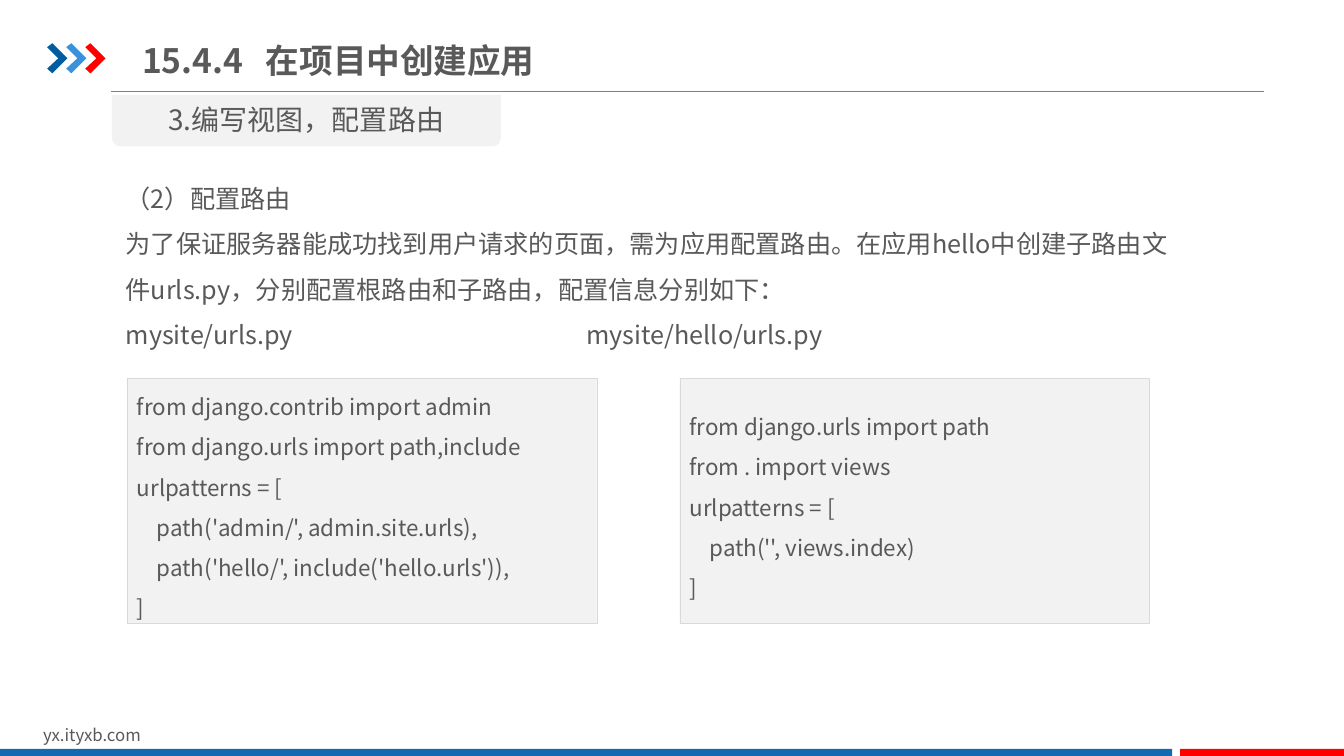
import pptx
import pptx.dml.color
import pptx.enum.shapes
import pptx.enum.text
import pptx.oxml
import pptx.oxml.ns
import pptx.util
from dataclasses import dataclass

Cm = pptx.util.Cm
Shapes = pptx.enum.shapes.MSO_SHAPE
Anchor = pptx.enum.text.MSO_ANCHOR
Align = pptx.enum.text.PP_ALIGN


@dataclass(frozen=True)
class Theme:
    font: str = "Noto Sans CJK SC"
    text: str = "595959"
    panel: str = "F2F2F2"
    border: str = "D9D9D9"
    rule: str = "808080"
    bar: str = "1369B2"
    red: str = "FF0000"
    chevrons: tuple = ("005DA2", "3992DB", "FF0000")
    title_size: int = 24
    heading_size: int = 20
    body_size: int = 18
    code_size: int = 16
    footer_size: int = 12


theme = Theme()
color = pptx.dml.color.RGBColor.from_string

deck = pptx.Presentation()
deck.slide_width, deck.slide_height = Cm(33.87), Cm(19.05)
page = deck.slides.add_slide(deck.slide_layouts[6])


def paint(shape, fill, border=None):
    shape.shadow.inherit = False
    shape.fill.solid()
    shape.fill.fore_color.rgb = color(fill)
    if border:
        shape.line.color.rgb = color(border)
        shape.line.width = pptx.util.Pt(0.25)
    else:
        shape.line.fill.background()


def write(box, lines, size, anchor=Anchor.TOP, align=Align.LEFT,
          spacing=None, bold=False, tab=None):
    frame = box.text_frame
    frame.word_wrap = True
    frame.vertical_anchor = anchor
    for number, line in enumerate(lines):
        para = frame.add_paragraph() if number else frame.paragraphs[0]
        para.alignment = align
        para.line_spacing = spacing
        if "\t" in line:
            stops = pptx.oxml.parse_xml(
                f'<a:tabLst {pptx.oxml.ns.nsdecls("a")}>'
                f'<a:tab pos="{tab}" algn="l"/></a:tabLst>')
            para._p.get_or_add_pPr().append(stops)
        span = para.add_run()
        span.text = line
        span.font.size = pptx.util.Pt(size)
        span.font.bold = bold
        span.font.color.rgb = color(theme.text)
        span.font.name = theme.font
        # East Asian characters need their own font entry
        span._r.get_or_add_rPr().append(pptx.oxml.parse_xml(
            f'<a:ea {pptx.oxml.ns.nsdecls("a")} typeface="{theme.font}"/>'))


# Rule under the title
rule = page.shapes.add_connector(
    pptx.enum.shapes.MSO_CONNECTOR.STRAIGHT, Cm(2.8), Cm(2.31), Cm(31.86), Cm(2.31))
rule.line.color.rgb = color(theme.rule)
rule.line.width = pptx.util.Pt(0.75)
rule._element.spPr.append(pptx.oxml.parse_xml(
    f'<a:effectLst {pptx.oxml.ns.nsdecls("a")}/>'))

# Three chevrons
chevron_points = [(0, 0.1), (0.13, 0), (0.51, 0.38), (0.13, 0.76), (0, 0.64), (0.28, 0.38)]
for number, fill in enumerate(theme.chevrons):
    left = 1.19 + 0.48 * number
    corners = [(Cm(left + x), Cm(1.09 + y)) for x, y in chevron_points]
    outline = page.shapes.build_freeform(*corners[0])
    outline.add_line_segments(corners[1:], close=True)
    paint(outline.convert_to_shape(), fill)

# Title
title = page.shapes.add_textbox(Cm(3.33), Cm(0.74), Cm(13.74), Cm(1.55))
write(title, ["15.4.4\t在项目中创建应用"], theme.title_size,
      anchor=Anchor.MIDDLE, bold=True, tab=Cm(3.12))

# Section heading on a tab with rounded lower corners
heading_tab = page.shapes.add_shape(
    Shapes.ROUND_2_SAME_RECTANGLE, Cm(2.82), Cm(2.39), Cm(9.8), Cm(1.3))
heading_tab.rotation = 180
paint(heading_tab, theme.panel)
heading = page.shapes.add_textbox(Cm(2.82), Cm(2.46), Cm(9.8), Cm(1.12))
write(heading, ["3.编写视图，配置路由"], theme.heading_size, align=Align.CENTER)

# Explanation and file names
body = page.shapes.add_textbox(Cm(2.92), Cm(4.11), Cm(26.85), Cm(5.18))
write(body, [
    "（2）配置路由",
    "为了保证服务器能成功找到用户请求的页面，需为应用配置路由。在应用hello中创建子路由文件urls.py，"
    "分别配置根路由和子路由，配置信息分别如下：",
    "mysite/urls.py\tmysite/hello/urls.py",
], theme.body_size, spacing=1.5, tab=Cm(11.61))

# Code panels
root_urls = [
    "from django.contrib import admin",
    "from django.urls import path,include",
    "urlpatterns = [",
    "    path('admin/', admin.site.urls),",
    "    path('hello/', include('hello.urls')),",
    "]",
]
hello_urls = [
    "from django.urls import path",
    "from . import views",
    "urlpatterns = [",
    "    path('', views.index)",
    "]",
]
for left, code in ((3.2, root_urls), (17.13, hello_urls)):
    panel = page.shapes.add_shape(Shapes.RECTANGLE, Cm(left), Cm(9.53), Cm(11.84), Cm(6.17))
    paint(panel, theme.panel, theme.border)
    write(panel, code, theme.code_size, anchor=Anchor.MIDDLE, spacing=1.5)

# Footer address and bars
footer = page.shapes.add_textbox(Cm(0.84), Cm(18.14), Cm(8.08), Cm(0.76))
write(footer, ["yx.ityxb.com"], theme.footer_size)
for left, width, fill in ((0, 29.54, theme.bar), (29.74, 4.13, theme.red)):
    bar = page.shapes.add_shape(Shapes.RECTANGLE, Cm(left), Cm(18.87), Cm(width), Cm(0.18))
    paint(bar, fill)

deck.save("out.pptx")
